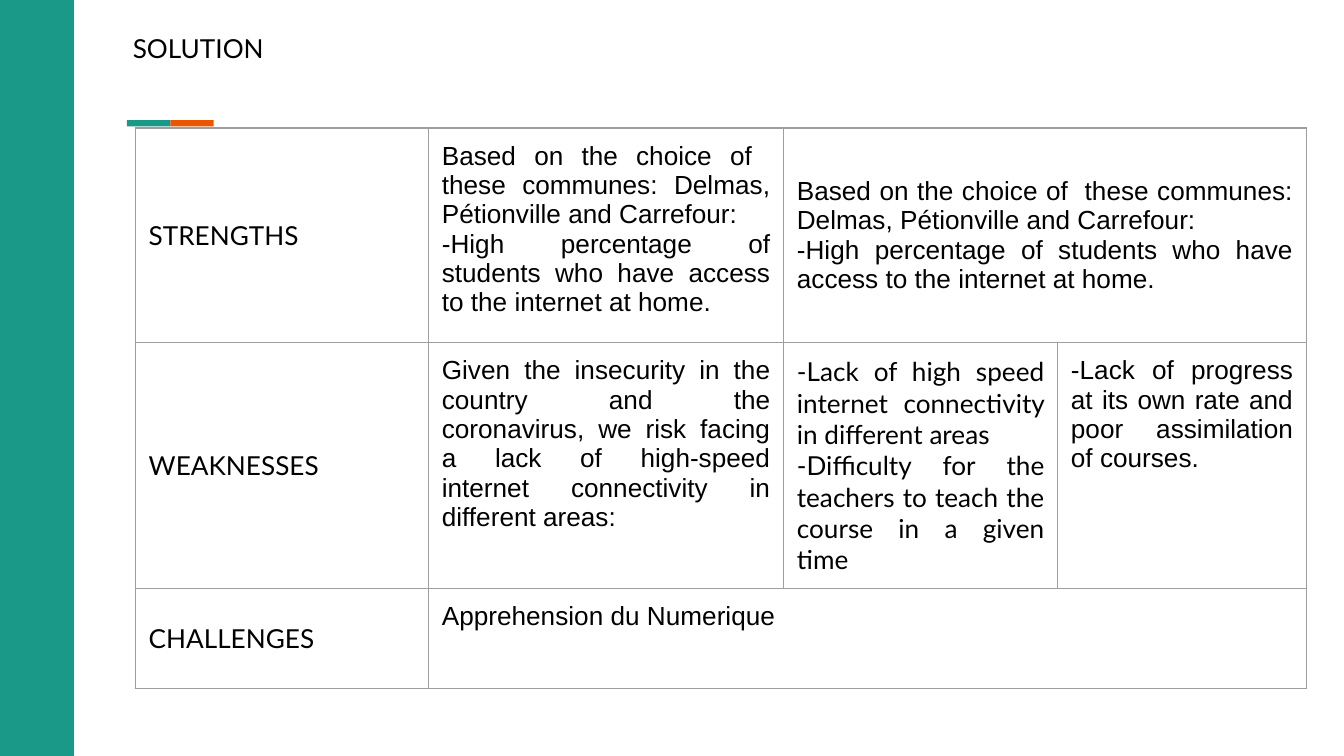
from dataclasses import dataclass

from lxml import etree
from pptx import Presentation
from pptx.dml.color import RGBColor
from pptx.enum import shapes, text
from pptx.oxml import ns
from pptx.util import Cm, Pt


@dataclass(frozen=True)
class Theme:
    teal: str = "1A9988"
    orange: str = "EB5500"
    ink: str = "000000"
    grid: str = "9E9E9E"
    heading: str = "Lato"
    body: str = "Arial"
    size: float = 14
    border: float = 0.75


theme = Theme()


def write(tf, content, font=theme.body, align=text.PP_ALIGN.LEFT):
    """Fill a text frame, one paragraph per line of content."""
    for i, line in enumerate(content.split("\n")):
        p = tf.paragraphs[0] if i == 0 else tf.add_paragraph()
        p.alignment = align
        r = p.add_run()
        r.text = line
        r.font.name = font
        r.font.size = Pt(theme.size)
        r.font.color.rgb = RGBColor.from_string(theme.ink)


def draw_borders(cell):
    tcPr = cell._tc.get_or_add_tcPr()
    for i, side in enumerate(("lnL", "lnR", "lnT", "lnB")):
        ln = etree.Element(ns.qn(f"a:{side}"), w=str(Pt(theme.border)))
        fill = etree.SubElement(ln, ns.qn("a:solidFill"))
        etree.SubElement(fill, ns.qn("a:srgbClr"), val=theme.grid)
        tcPr.insert(i, ln)


prs = Presentation()
prs.slide_width, prs.slide_height = Cm(25.4), Cm(14.29)
s = prs.slides.add_slide(prs.slide_layouts[5])

# Side band and two-colour accent
for left, top, width, height, color in (
    (0, 0, 1.4, 14.29, theme.teal),
    (2.4, 2.27, 0.82, 0.12, theme.teal),
    (3.22, 2.27, 0.82, 0.12, theme.orange),
):
    sp = s.shapes.add_shape(shapes.MSO_SHAPE.RECTANGLE,
                            Cm(left), Cm(top), Cm(width), Cm(height))
    sp.shadow.inherit = False
    sp.fill.solid()
    sp.fill.fore_color.rgb = RGBColor.from_string(color)
    sp.line.fill.background()

# Title
title = s.shapes.title
title.left, title.top, title.width, title.height = Cm(2.26), Cm(0.36), Cm(6), Cm(1.12)
tf = title.text_frame
tf.margin_left = tf.margin_right = tf.margin_top = tf.margin_bottom = Cm(0.25)
tf.vertical_anchor = text.MSO_ANCHOR.TOP
tf.auto_size = text.MSO_AUTO_SIZE.NONE
write(tf, "SOLUTION", font=theme.heading)

# Table grid
columns = (5.54, 6.71, 5.18, 4.7)
rows = (4.06, 4.65, 1.88)
table = s.shapes.add_table(len(rows), len(columns), Cm(2.56), Cm(2.42),
                           Cm(sum(columns)), Cm(sum(rows))).table
table.first_row = table.horz_banding = False
for column, width in zip(table.columns, columns):
    column.width = Cm(width)
for row, height in zip(table.rows, rows):
    row.height = Cm(height)
for cell in table.iter_cells():
    cell.margin_left = cell.margin_right = cell.margin_top = cell.margin_bottom = Cm(0.25)
    cell.fill.background()
    draw_borders(cell)
table.cell(0, 2).merge(table.cell(0, 3))
table.cell(2, 1).merge(table.cell(2, 3))

# Row headings
for i, heading in enumerate(("STRENGTHS", "WEAKNESSES", "CHALLENGES")):
    cell = table.cell(i, 0)
    cell.vertical_anchor = text.MSO_ANCHOR.MIDDLE
    write(cell.text_frame, heading, font=theme.heading)

# Row contents
strengths = ("Based on the choice of  these communes: Delmas, Pétionville and Carrefour:\n"
             "-High percentage of students who have access to the internet at home.")
justify = text.PP_ALIGN.JUSTIFY
for i, j, content, font, align in (
    (0, 1, strengths, theme.body, justify),
    (0, 2, strengths, theme.body, justify),
    (1, 1, "Given the insecurity in the country and the coronavirus, we risk facing "
           "a lack of high-speed internet connectivity in different areas:",
     theme.body, justify),
    (1, 2, "-Lack of high speed internet connectivity in different areas\n"
           "-Difficulty for the teachers to teach the course in a given time",
     theme.heading, justify),
    (1, 3, "-Lack of progress at its own rate and poor assimilation of courses.",
     theme.body, justify),
    (2, 1, "Apprehension du Numerique", theme.body, text.PP_ALIGN.LEFT),
):
    write(table.cell(i, j).text_frame, content, font=font, align=align)
table.cell(0, 2).vertical_anchor = text.MSO_ANCHOR.MIDDLE

prs.save("out.pptx")
